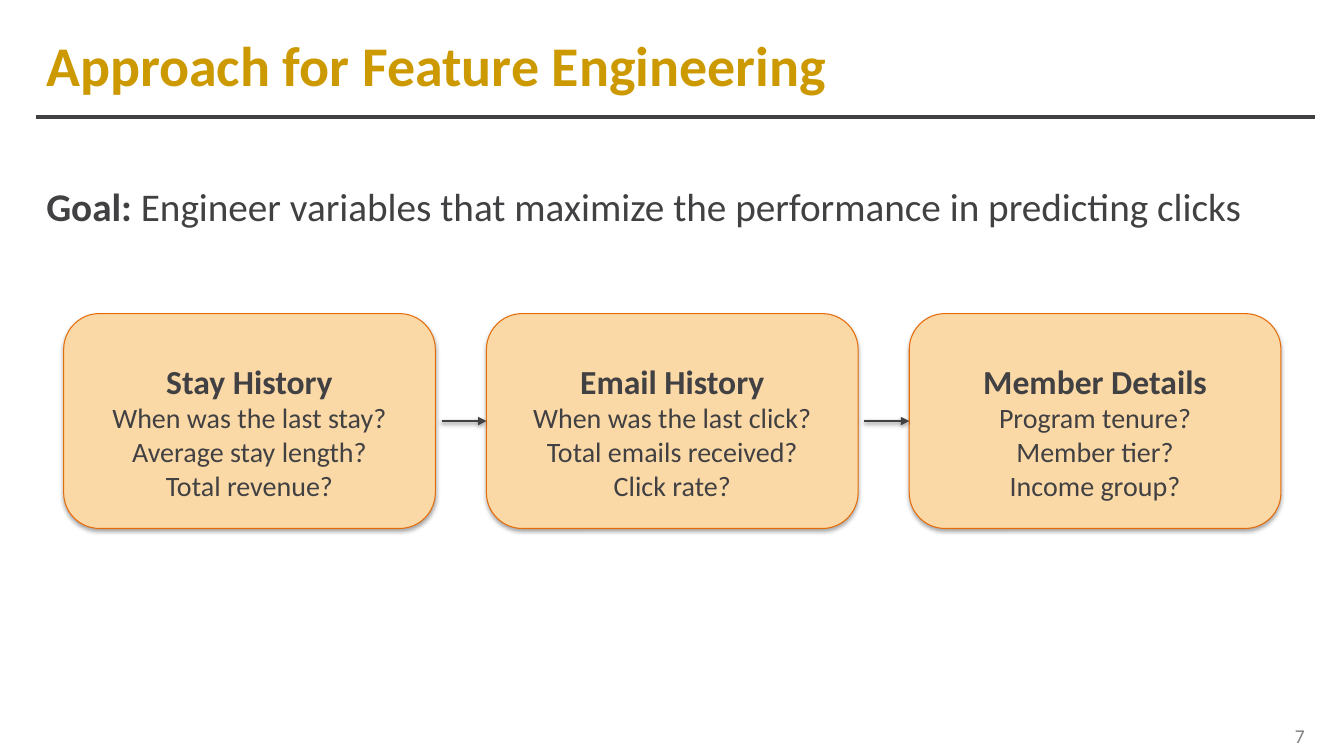
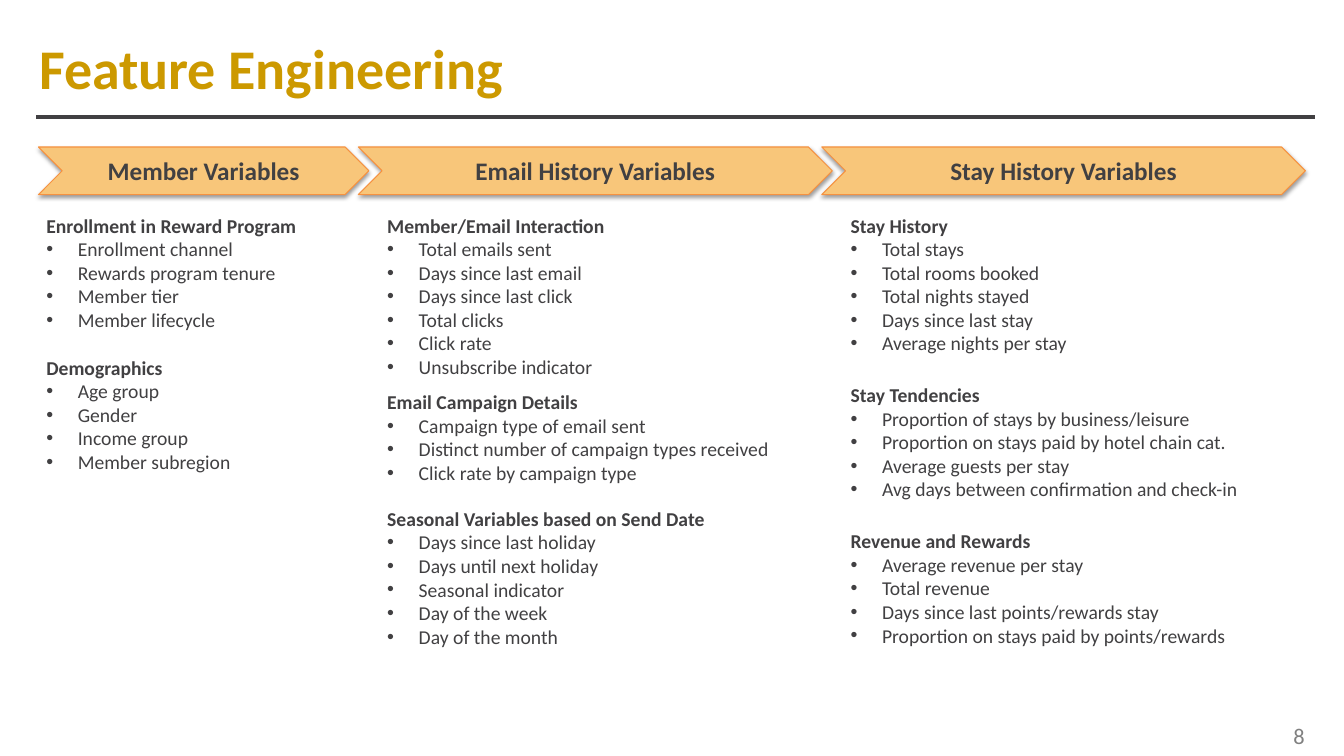
import lxml.etree
import pptx
import pptx.dml.color
import pptx.enum.shapes
import pptx.enum.text
import pptx.oxml.ns
import pptx.util

WHITE = pptx.dml.color.RGBColor(0xFF, 0xFF, 0xFF)
CHARCOAL = pptx.dml.color.RGBColor(0x41, 0x40, 0x42)
GOLD = pptx.dml.color.RGBColor(0xCC, 0x99, 0x00)
GRAY = pptx.dml.color.RGBColor(0x80, 0x80, 0x80)
CARD_FILL = pptx.dml.color.RGBColor(0xFB, 0xD9, 0xA6)
CARD_LINE = pptx.dml.color.RGBColor(0xE4, 0x6C, 0x0A)
CHEVRON_FILL = pptx.dml.color.RGBColor(0xF8, 0xC6, 0x7A)
CHEVRON_LINE = pptx.dml.color.RGBColor(0xF6, 0x92, 0x40)
FONT = "Calibri"
LEFT = pptx.enum.text.PP_ALIGN.LEFT
CENTER = pptx.enum.text.PP_ALIGN.CENTER
RIGHT = pptx.enum.text.PP_ALIGN.RIGHT
MIDDLE = pptx.enum.text.MSO_ANCHOR.MIDDLE
STRAIGHT = pptx.enum.shapes.MSO_CONNECTOR.STRAIGHT


def set_text(frame, lines, sizes, color=CHARCOAL, align=LEFT, bold_head=True):
    frame.text = "\n".join(lines)
    frame.word_wrap = True
    for index, paragraph in enumerate(frame.paragraphs):
        paragraph.alignment = align
        for span in paragraph.runs:
            span.font.name = FONT
            span.font.size = pptx.util.Pt(sizes[min(index, 1)])
            span.font.bold = bold_head and index == 0
            span.font.color.rgb = color


def cast_shadow(shape, opacity=38, distance=1.6):
    effects = lxml.etree.SubElement(shape.element.spPr, pptx.oxml.ns.qn("a:effectLst"))
    shadow = lxml.etree.SubElement(
        effects, pptx.oxml.ns.qn("a:outerShdw"), blurRad=str(pptx.util.Pt(3.1)),
        dist=str(pptx.util.Pt(distance)), dir="5400000", rotWithShape="0")
    black = lxml.etree.SubElement(shadow, pptx.oxml.ns.qn("a:srgbClr"), val="000000")
    lxml.etree.SubElement(black, pptx.oxml.ns.qn("a:alpha"), val=str(opacity * 1000))


deck = pptx.Presentation()
deck.slide_width = pptx.util.Pt(960)
deck.slide_height = pptx.util.Pt(540)

pages = []
for title, left, top, number, number_size in (
    ("Approach for Feature Engineering", 33, 16, "7", 14),
    ("Feature Engineering", 28, 18.5, "8", 16),
):
    page = deck.slides.add_slide(deck.slide_layouts[6])
    pages.append(page)
    page.background.fill.solid()
    page.background.fill.fore_color.rgb = WHITE

    rule = page.shapes.add_connector(STRAIGHT, *map(pptx.util.Pt, (26, 83.5, 939, 83.5)))
    rule.line.color.rgb = CHARCOAL
    rule.line.width = pptx.util.Pt(3)
    lxml.etree.SubElement(rule.element.spPr, pptx.oxml.ns.qn("a:effectLst"))

    title_box = page.shapes.add_textbox(*map(pptx.util.Pt, (left, top, 805, 59)))
    frame = title_box.text_frame
    frame.margin_left = frame.margin_right = frame.margin_top = frame.margin_bottom = 0
    frame.vertical_anchor = MIDDLE
    set_text(frame, [title], (40,), GOLD)

    number_box = page.shapes.add_textbox(*map(pptx.util.Pt, (688.5, 511, 250.5, 29)))
    number_box.text_frame.vertical_anchor = MIDDLE
    set_text(number_box.text_frame, [number], (number_size,), GRAY, RIGHT, False)

approach, variables = pages

goal_box = approach.shapes.add_textbox(*map(pptx.util.Pt, (26, 110, 901.5, 52.5)))
set_text(goal_box.text_frame, ["Goal: "], (28,))
goal = goal_box.text_frame.paragraphs[0]
goal.line_spacing = 1.5
span = goal.add_run()
span.text = "Engineer variables that maximize the performance in predicting clicks"
span.font.name = FONT
span.font.size = pptx.util.Pt(28)
span.font.color.rgb = CHARCOAL

CARD_LEFT, CARD_TOP, CARD_WIDTH, CARD_HEIGHT, CARD_PITCH = 45.5, 224, 265.5, 153.5, 302
card_texts = (
    ("Stay History", "When was the last stay?", "Average stay length?", "Total revenue?"),
    ("Email History", "When was the last click?", "Total emails received?", "Click rate?"),
    ("Member Details", "Program tenure?", "Member tier?", "Income group?"),
)
cards = []
for index, lines in enumerate(card_texts):
    card = approach.shapes.add_shape(
        pptx.enum.shapes.MSO_SHAPE.ROUNDED_RECTANGLE,
        *map(pptx.util.Pt, (CARD_LEFT + index * CARD_PITCH, CARD_TOP, CARD_WIDTH, CARD_HEIGHT)))
    card.fill.solid()
    card.fill.fore_color.rgb = CARD_FILL
    card.line.color.rgb = CARD_LINE
    card.line.width = pptx.util.Pt(0.75)
    cast_shadow(card, 35, 1.8)
    card.text_frame.vertical_anchor = MIDDLE
    set_text(card.text_frame, lines, (24, 20), align=CENTER)
    card.text_frame.paragraphs[0].line_spacing = 1.5
    cards.append(card)

for card, following in zip(cards, cards[1:]):
    middle = card.top + card.height // 2
    arrow = approach.shapes.add_connector(
        STRAIGHT, card.left + card.width + pptx.util.Pt(4.5), middle, following.left, middle)
    arrow.end_connect(following, 1)
    arrow.line.color.rgb = CHARCOAL
    arrow.line.width = pptx.util.Pt(2)
    outline = arrow.element.spPr.find(pptx.oxml.ns.qn("a:ln"))
    lxml.etree.SubElement(outline, pptx.oxml.ns.qn("a:tailEnd"), type="triangle")
    cast_shadow(arrow)

CHEVRON_OVERLAP = 7.5
columns = (
    ("Member Variables", 236, 26, 230, (
        (149, ("Enrollment in Reward Program", "Enrollment channel", "Rewards program tenure",
               "Member tier", "Member lifecycle")),
        (250.5, ("Demographics", "Age group", "Gender", "Income group", "Member subregion")),
    )),
    ("Email History Variables", 338.5, 269.5, 317.5, (
        (149, ("Member/Email Interaction", "Total emails sent", "Days since last email",
               "Days since last click", "Total clicks", "Click rate", "Unsubscribe indicator")),
        (275, ("Email Campaign Details", "Campaign type of email sent",
               "Distinct number of campaign types received", "Click rate by campaign type")),
        (358.5, ("Seasonal Variables based on Send Date", "Days since last holiday",
                 "Days until next holiday", "Seasonal indicator", "Day of the week",
                 "Day of the month")),
    )),
    ("Stay History Variables", 345.5, 600.5, 332.5, (
        (149, ("Stay History", "Total stays", "Total rooms booked", "Total nights stayed",
               "Days since last stay", "Average nights per stay")),
        (270, ("Stay Tendencies", "Proportion of stays by business/leisure",
               "Proportion on stays paid by hotel chain cat.", "Average guests per stay",
               "Avg days between confirmation and check-in")),
        (374.5, ("Revenue and Rewards", "Average revenue per stay", "Total revenue",
                 "Days since last points/rewards stay",
                 "Proportion on stays paid by points/rewards")),
    )),
)
chevron_left = 27.5
for heading, chevron_width, text_left, text_width, groups in columns:
    chevron = variables.shapes.add_shape(
        pptx.enum.shapes.MSO_SHAPE.CHEVRON,
        *map(pptx.util.Pt, (chevron_left, 105, chevron_width, 34)))
    chevron.fill.solid()
    chevron.fill.fore_color.rgb = CHEVRON_FILL
    chevron.line.color.rgb = CHEVRON_LINE
    chevron.line.width = pptx.util.Pt(0.75)
    cast_shadow(chevron)
    chevron.text_frame.vertical_anchor = MIDDLE
    set_text(chevron.text_frame, [heading], (18,), align=CENTER)
    chevron_left += chevron_width - CHEVRON_OVERLAP

    for top, lines in groups:
        height = 7.2 + 17 * len(lines)
        group_box = variables.shapes.add_textbox(
            *map(pptx.util.Pt, (text_left, top, text_width, height)))
        set_text(group_box.text_frame, lines, (14, 14))
        for paragraph in group_box.text_frame.paragraphs[1:]:
            properties = paragraph._p.get_or_add_pPr()
            properties.set("marL", str(pptx.util.Pt(22.5)))
            properties.set("indent", str(pptx.util.Pt(-22.5)))
            lxml.etree.SubElement(properties, pptx.oxml.ns.qn("a:buFont"), typeface="Arial")
            lxml.etree.SubElement(properties, pptx.oxml.ns.qn("a:buChar"), char="•")

deck.save("out.pptx")
